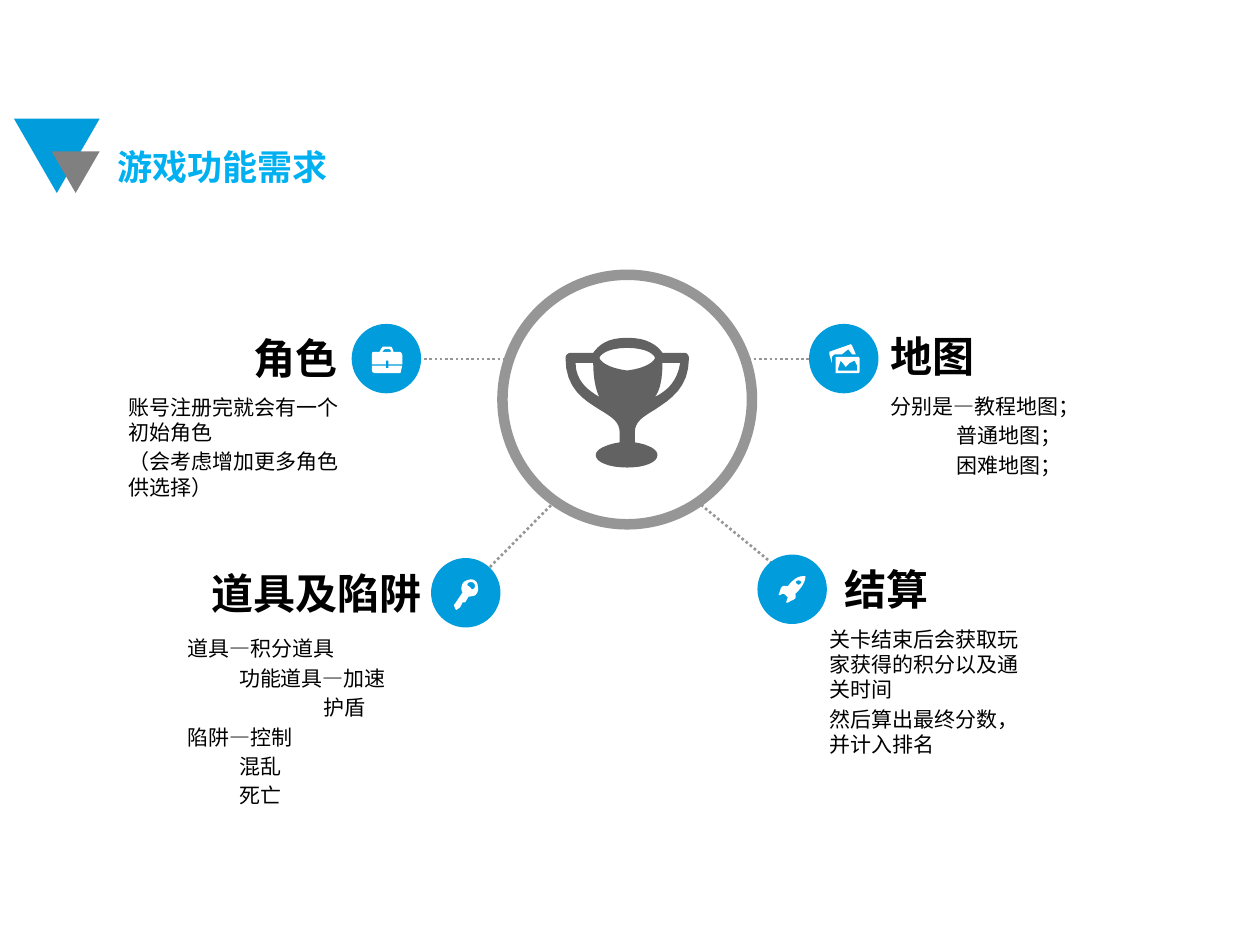
from dataclasses import dataclass

from lxml.etree import SubElement
from pptx import Presentation
from pptx.dml.color import RGBColor
from pptx.enum.dml import MSO_LINE
from pptx.enum.shapes import MSO_CONNECTOR as Connector, MSO_SHAPE as Shape
from pptx.enum.text import MSO_AUTO_SIZE as AutoSize, PP_ALIGN as Align
from pptx.oxml.ns import qn
from pptx.util import Cm, Pt

BLUE, GREY, WHITE, BLACK = "019CDC", "969696", "FFFFFF", "000000"
BADGE_SIZE = 1.4
CURVE_STEPS = 8

TROPHY = [
    [(55, 75), (55, 67, 61, 63, 71, 57), (83, 49, 98, 40, 98, 16), (98, 14, 96, 12, 95, 12),
     (77, 12), (73, 6, 65, 0, 49, 0), (33, 0, 26, 6, 22, 12), (4, 12), (2, 12, 0, 14, 0, 16),
     (0, 40, 14, 49, 27, 57), (37, 63, 43, 67, 43, 75), (43, 83), (31, 85, 24, 89, 24, 93),
     (24, 99, 35, 103, 49, 103), (63, 103, 73, 99, 73, 93), (73, 89, 67, 85, 55, 83)],
    [(71, 47), (75, 42, 77, 32, 77, 20), (91, 20), (89, 34, 81, 42, 71, 47)],
    [(49, 8), (65, 8, 71, 14, 71, 16), (71, 18, 65, 24, 49, 26),
     (33, 24, 27, 18, 27, 16), (27, 14, 33, 8, 49, 8)],
    [(8, 20), (22, 20), (22, 32, 24, 42, 27, 47), (18, 42, 8, 34, 8, 20)],
]
BRIEFCASE = [
    [(11, 11), (13, 11), (13, 14), (24, 14), (24, 7), (24, 5, 23, 4, 21, 4), (17, 4),
     (17, 3, 16, 1, 16, 1), (16, 0, 15, 0, 14, 0), (9, 0), (8, 0, 8, 0, 8, 1),
     (7, 1, 7, 3, 6, 4), (2, 4), (0, 4, 0, 5, 0, 7), (0, 14), (11, 14)],
    [(9, 3), (10, 2), (14, 2), (15, 3), (15, 4), (8, 4)],
    [(13, 17), (11, 17), (11, 15), (0, 15), (0, 19), (0, 20, 1, 21, 3, 21), (21, 21),
     (23, 21, 23, 20, 23, 19), (24, 15), (13, 15)],
]
KEY = [
    [(19, 6), (19, 2, 15, 0, 12, 1), (8, 2, 6, 4, 6, 8), (6, 9, 6, 10, 7, 11), (1, 20),
     (0, 21), (1, 24), (2, 25), (5, 23), (7, 19), (9, 19), (12, 14),
     (12, 15, 14, 14, 15, 14), (18, 14, 20, 10, 19, 6)],
    [(16, 8), (15, 9, 14, 9, 13, 7), (12, 6, 10, 6, 11, 4), (12, 3, 14, 2, 16, 4),
     (17, 5, 17, 7, 16, 8)],
]
ROCKET = [
    [(14, 15), (14, 15, 22, 8, 22, 1), (21, 1), (14, 0, 8, 9, 8, 9), (3, 8, 3, 9, 1, 15),
     (0, 16, 1, 16, 2, 16), (3, 15, 5, 15, 5, 15), (8, 18), (8, 18, 7, 20, 7, 21),
     (6, 22, 7, 22, 8, 22), (13, 19, 15, 20, 14, 15)],
    [(15, 7), (14, 6, 14, 5, 15, 5), (16, 4, 17, 4, 18, 5), (19, 5, 19, 6, 18, 7),
     (17, 8, 16, 8, 15, 7)],
]
PHOTOS = [
    [(21, 8), (18, 1), (17, 0), (0, 6), (0, 8), (2, 15), (2, 11), (2, 9, 4, 8, 5, 8),
     (10, 8), (15, 4), (18, 8)],
    [(23, 10), (24, 11), (24, 22), (23, 23), (5, 23), (5, 10)],
    [(22, 21), (7, 21), (7, 19), (9, 13), (13, 18), (16, 15), (20, 13), (22, 17)],
]


@dataclass
class Topic:
    """One game feature; all offsets in cm are from its badge's corner."""
    badge: tuple
    icon: list
    icon_offset: tuple
    link_start: tuple
    link_end_offset: tuple
    heading: str
    heading_box: tuple
    align: Align
    body_box: tuple
    lines: list


TOPICS = [
    Topic((7.09, 6.53), BRIEFCASE, (0.41, 0.46), (10.19, 7.24), (1.19, 0.71),
          "角色", (-2.06, 0.18, 1.78), Align.RIGHT, (-4.5, 1.42, 4.5),
          [("账号注册完就会有一个初始角色", 0), ("（会考虑增加更多角色供选择）", 0)]),
    Topic((8.69, 11.25), KEY, (0.46, 0.41), (11.18, 10.11), (0.89, 0.48),
          "道具及陷阱", (-4.7, 0.2, 4.5), Align.RIGHT, (-4.9, 1.57, 4.7),
          [("道具—积分道具", 0), ("功能道具—加速", 1.03), ("护盾", 2.74),
           ("陷阱—控制", 0), ("混乱", 1.03), ("死亡", 1.03)]),
    Topic((15.27, 11.18), ROCKET, (0.41, 0.41), (14.05, 10.11), (0.91, 0.68),
          "结算", (1.75, 0.18, 1.78), Align.LEFT, (1.45, 1.45, 3.99),
          [("关卡结束后会获取玩家获得的积分以及通关时间", 0),
           ("然后算出最终分数，并计入排名", 0)]),
    Topic((16.31, 6.53), PHOTOS, (0.41, 0.41), (15.09, 7.24), (0.71, 0.71),
          "地图", (1.65, 0.13, 1.78), Align.LEFT, (1.65, 1.4, 5.41),
          [("分别是—教程地图；", 0), ("普通地图；", 1.33), ("困难地图；", 1.33)]),
]


def colour(hex_text):
    """Turn a hex string into a colour."""
    return RGBColor.from_string(hex_text)


def add_filled(slide, kind, left, top, width, height, fill):
    """Add a preset shape with a plain fill and no outline."""
    shape = slide.shapes.add_shape(kind, Cm(left), Cm(top), Cm(width), Cm(height))
    shape.shadow.inherit = False
    shape.fill.solid()
    shape.fill.fore_color.rgb = colour(fill)
    shape.line.fill.background()
    return shape


def add_text(slide, left, top, width, height, lines, size, font, ink, bold=False,
             align=Align.LEFT, inset=True):
    """Add a wrapped text box from (text, indent in cm) lines."""
    frame = slide.shapes.add_textbox(Cm(left), Cm(top), Cm(width), Cm(height)).text_frame
    frame.word_wrap = True
    frame.auto_size = AutoSize.SHAPE_TO_FIT_TEXT
    if not inset:
        frame.margin_left = frame.margin_right = frame.margin_top = frame.margin_bottom = 0
    for index, (text, indent) in enumerate(lines):
        paragraph = frame.add_paragraph() if index else frame.paragraphs[0]
        paragraph.text = text
        paragraph.alignment = align
        paragraph.font.size = Pt(size)
        paragraph.font.name = font
        paragraph.font.bold = bold
        paragraph.font.color.rgb = colour(ink)
        if index:
            paragraph.space_before = Pt(size * 0.2)
        if indent:
            paragraph._p.get_or_add_pPr().set("marL", str(Cm(indent)))


def flatten(contour):
    """Turn points and cubic curves into points in thousandths of an inch."""
    points = [contour[0]]
    for step in contour[1:]:
        if len(step) == 2:
            points.append(step)
            continue
        nodes = [points[-1], step[:2], step[2:4], step[4:]]
        for count in range(1, CURVE_STEPS + 1):
            t = count / CURVE_STEPS
            weights = ((1 - t) ** 3, 3 * t * (1 - t) ** 2, 3 * t * t * (1 - t), t ** 3)
            points.append(tuple(sum(w * node[axis] for w, node in zip(weights, nodes))
                                for axis in (0, 1)))
    return [(x * 10, y * 10) for x, y in points]


def draw_icon(slide, left, top, contours, fill):
    """Draw contours as one filled outline with holes."""
    outlines = [flatten(contour) for contour in contours]
    builder = slide.shapes.build_freeform(*outlines[0][0], scale=Cm(2.54) / 1000)
    for index, outline in enumerate(outlines):
        if index:
            builder.move_to(*outline[0])
        builder.add_line_segments(outline[1:], close=True)
    shape = builder.convert_to_shape(Cm(left), Cm(top))
    shape.shadow.inherit = False
    shape.fill.solid()
    shape.fill.fore_color.rgb = colour(fill)
    shape.line.fill.background()


def draw_link(slide, start, end):
    """Draw a dotted line from the hub to a badge."""
    link = slide.shapes.add_connector(Connector.STRAIGHT, *map(Cm, start + end))
    link.line.color.rgb = colour(GREY)
    link.line.width = Pt(1.5)
    link.line.dash_style = MSO_LINE.ROUND_DOT
    SubElement(link.line._get_or_add_ln(), qn("a:tailEnd"), type="oval")
    SubElement(link._element.spPr, qn("a:effectLst"))


def draw_header(slide, left, top):
    """Draw the two triangles and the slide title."""
    for x, y, width, height, fill in ((0, 0, 1.73, 1.5, BLUE), (0.76, 0.66, 0.97, 0.84, "808080")):
        triangle = add_filled(slide, Shape.ISOSCELES_TRIANGLE, left + x, top + y,
                              width, height, fill)
        triangle.rotation = 180
    add_text(slide, left + 1.83, top + 0.41, 7.06, 1.12, [("游戏功能需求", 0)],
             20, "Noto Sans CJK SC", "00B0F0", bold=True)


def draw_hub(slide, left, top, size):
    """Draw the central ring with its trophy."""
    ring = slide.shapes.add_shape(Shape.OVAL, Cm(left), Cm(top), Cm(size), Cm(size))
    ring.shadow.inherit = False
    ring.fill.background()
    ring.line.color.rgb = colour(GREY)
    ring.line.width = Pt(6)
    draw_icon(slide, left + 1.27, top + 1.27, TROPHY, "626262")


def draw_topic(slide, topic):
    """Draw a topic's link, badge, heading and details."""
    left, top = topic.badge

    def place(offset):
        return left + offset[0], top + offset[1]

    draw_link(slide, topic.link_start, place(topic.link_end_offset))
    add_filled(slide, Shape.OVAL, left, top, BADGE_SIZE, BADGE_SIZE, BLUE)
    draw_icon(slide, *place(topic.icon_offset), topic.icon, WHITE)
    add_text(slide, *place(topic.heading_box), topic.heading_box[2], 1.02,
             [(topic.heading, 0)], 24, "Arial", BLACK, True, topic.align, inset=False)
    add_text(slide, *place(topic.body_box), topic.body_box[2], 0.6 * len(topic.lines),
             topic.lines, 12, "Arial", BLACK, inset=False)


def main():
    """Build and save the slide."""
    presentation = Presentation()
    presentation.slide_width, presentation.slide_height = Cm(25.4), Cm(19.05)
    slide = presentation.slides.add_slide(presentation.slide_layouts[6])
    draw_header(slide, 0.28, 2.39)
    for topic in TOPICS:
        draw_topic(slide, topic)
    draw_hub(slide, 10.13, 5.54, 5.03)
    presentation.save("out.pptx")


if __name__ == "__main__":
    main()
